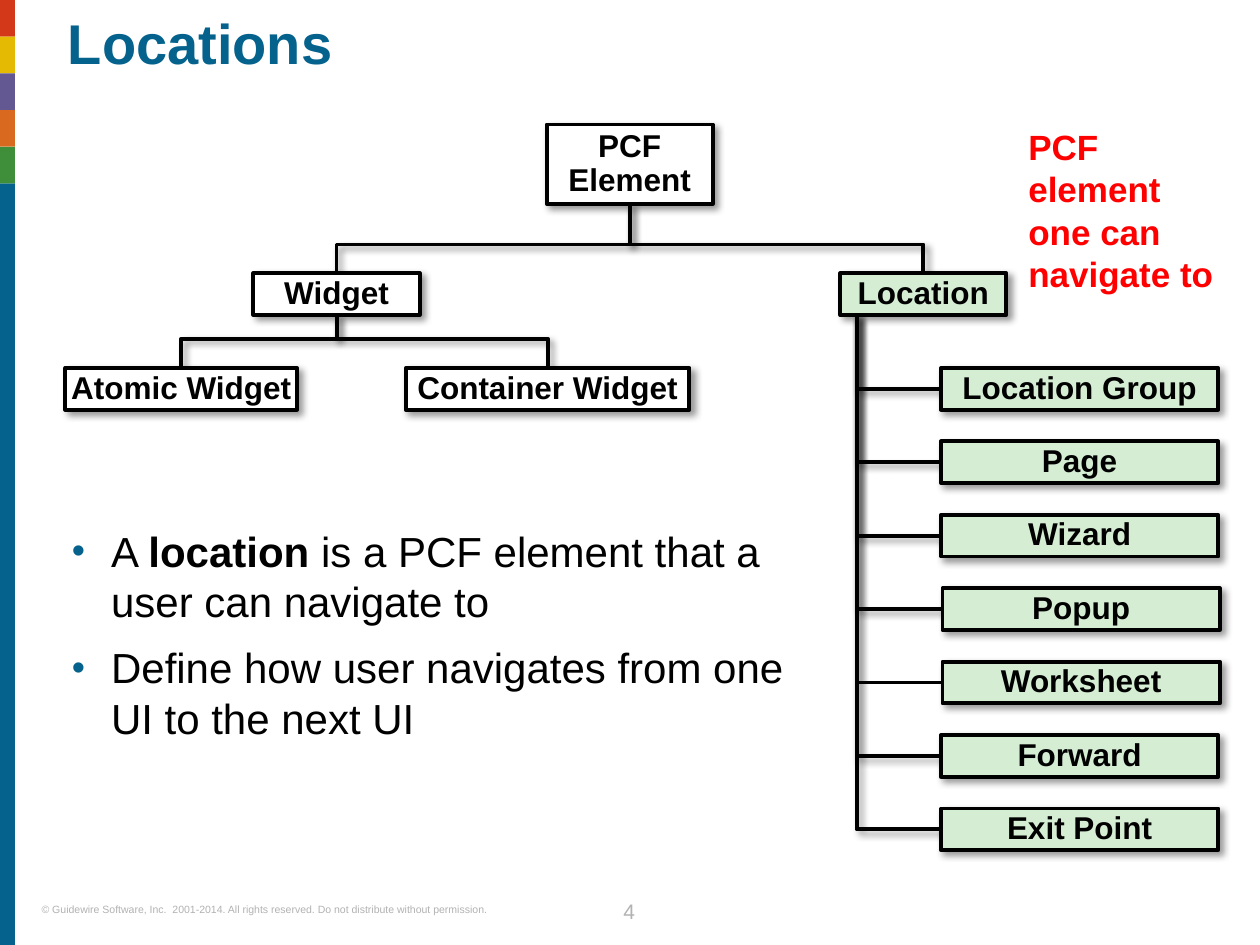
import dataclasses
import pptx
import pptx.dml.color
import pptx.enum.shapes
import pptx.enum.text
import pptx.oxml
import pptx.oxml.ns
import pptx.util

Cm, Pt = pptx.util.Cm, pptx.util.Pt
Align, Anchor = pptx.enum.text.PP_ALIGN, pptx.enum.text.MSO_ANCHOR
RECT = pptx.enum.shapes.MSO_SHAPE.RECTANGLE
NS = pptx.oxml.ns.nsdecls("a")


@dataclasses.dataclass(frozen=True)
class Theme:
    font: str = "Arial"
    blue: str = "04628C"
    black: str = "000000"
    white: str = "FFFFFF"
    green: str = "D4EDD3"
    red: str = "FF0000"
    gray: str = "B2B2B2"
    bands: tuple = ("D33819", "E5BA03", "645893", "D8691E", "3F8E39")
    title: float = 32
    body: float = 24
    note: float = 20
    label: float = 18
    number: float = 12
    legal: float = 6
    line: float = 2.25


def color(code):
    return pptx.dml.color.RGBColor.from_string(code)


def mid(box):
    """Return the horizontal centre of a (left, top, width, height) box."""
    return box[0] + box[2] / 2


class Painter:
    def __init__(self, slide, theme):
        self.slide, self.theme = slide, theme

    def style(self, para, size, code, bold=False):
        for run in para.runs:
            font = run.font
            font.name, font.size, font.bold = self.theme.font, Pt(size), bold
            font.color.rgb = color(code)

    def frame(self, shape, inset=0, anchor=Anchor.TOP):
        frame = shape.text_frame
        frame.word_wrap, frame.vertical_anchor = True, anchor
        frame.auto_size = pptx.enum.text.MSO_AUTO_SIZE.NONE
        frame.margin_left = frame.margin_right = Cm(inset)
        frame.margin_top = frame.margin_bottom = Cm(inset)
        return frame

    def shade(self, shape):
        """Give the shape a soft shadow down and to the right."""
        shape.shadow.inherit = False
        effects = shape._element.spPr.find(pptx.oxml.ns.qn("a:effectLst"))
        effects.append(pptx.oxml.parse_xml(
            f'<a:outerShdw {NS} blurRad="{Pt(4)}" dist="{Pt(3)}" dir="2700000" '
            f'algn="tl" rotWithShape="0"><a:srgbClr val="{self.theme.black}">'
            '<a:alpha val="40000"/></a:srgbClr></a:outerShdw>'))

    def outline(self, shape):
        shape.line.color.rgb = color(self.theme.black)
        shape.line.width = Pt(self.theme.line)

    def title(self, text, place):
        shape = self.slide.shapes.title
        shape.left, shape.top, shape.width, shape.height = map(Cm, place)
        frame = self.frame(shape)
        frame.text = text
        para = frame.paragraphs[0]
        para.alignment, para.line_spacing = Align.LEFT, 0.9
        self.style(para, self.theme.title, self.theme.blue, True)

    def text(self, text, place, size, code, bold=False, align=Align.LEFT):
        frame = self.frame(self.slide.shapes.add_textbox(*map(Cm, place)))
        frame.text = text
        para = frame.paragraphs[0]
        para.alignment = align
        self.style(para, size, code, bold)
        return para

    def bullets(self, items, place):
        """Each item is a list of parts; every second part is bold."""
        frame = self.frame(self.slide.shapes.add_textbox(*map(Cm, place)))
        for i, parts in enumerate(items):
            para = frame.add_paragraph() if i else frame.paragraphs[0]
            if i:
                para.space_before = Pt(9)
            props = para._p.get_or_add_pPr()
            props.set("marL", str(Cm(0.79)))
            props.set("indent", str(Cm(-0.79)))
            for mark in (f'<a:buClr {NS}><a:srgbClr val="{self.theme.blue}"/></a:buClr>',
                         f'<a:buSzPct {NS} val="90000"/>',
                         f'<a:buFont {NS} typeface="{self.theme.font}"/>',
                         f'<a:buChar {NS} char="•"/>'):
                props.append(pptx.oxml.parse_xml(mark))
            for part in parts:
                para.add_run().text = part
            self.style(para, self.theme.body, self.theme.black)
            for run in para.runs[1::2]:
                run.font.bold = True

    def band(self, place, code):
        shape = self.slide.shapes.add_shape(RECT, *map(Cm, place))
        shape.shadow.inherit = False
        shape.fill.solid()
        shape.fill.fore_color.rgb = color(code)
        shape.line.fill.background()

    def box(self, text, place, code):
        shape = self.slide.shapes.add_shape(RECT, *map(Cm, place))
        shape.fill.solid()
        shape.fill.fore_color.rgb = color(code)
        self.outline(shape)
        self.shade(shape)
        frame = self.frame(shape, 0.03, Anchor.MIDDLE)
        frame.text = text
        para = frame.paragraphs[0]
        para.alignment, para.line_spacing = Align.CENTER, 0.9
        self.style(para, self.theme.label, self.theme.black, True)

    def wire(self, points, shaded=True):
        points = [(Cm(x), Cm(y)) for x, y in points]
        path = self.slide.shapes.build_freeform(*points[0])
        path.add_line_segments(points[1:], close=False)
        shape = path.convert_to_shape()
        shape.fill.background()
        self.outline(shape)
        shape.shadow.inherit = False
        if shaded:
            self.shade(shape)

    def branch(self, parent, child, bus):
        """Wire a parent down to a child by way of the height of the bus."""
        self.wire([(mid(parent), parent[1] + parent[3]), (mid(parent), bus),
                   (mid(child), bus), (mid(child), child[1])])


def main():
    deck = pptx.Presentation()
    deck.slide_width, deck.slide_height = Cm(25.4), Cm(19.05)
    theme = Theme()
    pen = Painter(deck.slides.add_slide(deck.slide_layouts[5]), theme)

    edge, step = 0.3, 0.74
    top = step * len(theme.bands)
    pen.band((0, top, edge, 19.05 - top), theme.blue)
    for i, code in enumerate(theme.bands):
        pen.band((0, i * step, edge, step), code)

    pen.text("© Guidewire Software, Inc.  2001-2014. All rights reserved. "
             "Do not distribute without permission.",
             (0.84, 18.21, 10.21, 0.25), theme.legal, theme.gray)
    page = pen.text("4", (11.96, 17.98, 1.45, 0.64), theme.number, theme.gray,
                    align=Align.CENTER)
    page.line_spacing = Pt(18)
    pen.title("Locations", (1.37, 0.33, 23.11, 2.06))
    pen.bullets([["A ", "location", " is a PCF element that a user can navigate to"],
                 ["Define how user navigates from one UI to the next UI"]],
                (1.45, 10.59, 15.37, 7.19))

    high = 0.84
    root = (11.02, 2.51, 3.35, 1.6)
    widget = (5.11, 5.51, 3.35, high)
    place = (16.94, 5.51, 3.35, high)
    atom = (1.32, 7.42, 4.67, high)
    group = (8.18, 7.42, 5.72, high)
    names = ["Location Group", "Page", "Wizard", "Popup", "Worksheet",
             "Forward", "Exit Point"]
    nudged = {"Popup": 0.03, "Worksheet": 0.03}
    leaves = {name: (18.97 + nudged.get(name, 0), 7.42 + i * 1.48, 5.59, high)
              for i, name in enumerate(names)}

    trunk = 17.27
    for name, (left, top, _, _) in reversed(leaves.items()):
        level = top + high / 2
        pen.wire([(trunk, place[1] + high), (trunk, level), (left, level)],
                 shaded=name != "Worksheet")
    for parent, child, bus in ((root, place, 4.93), (widget, group, 6.83),
                               (widget, atom, 6.83), (root, widget, 4.93)):
        pen.branch(parent, child, bus)

    for name, spot in (("PCF Element", root), ("Widget", widget),
                       ("Atomic Widget", atom), ("Container Widget", group)):
        pen.box(name, spot, theme.white)
    for name, spot in {"Location": place, **leaves}.items():
        pen.box(name, spot, theme.green)
    pen.text("PCF element one can navigate to", (20.73, 2.54, 3.96, 3.43),
             theme.note, theme.red, bold=True)
    deck.save("out.pptx")


if __name__ == "__main__":
    main()
